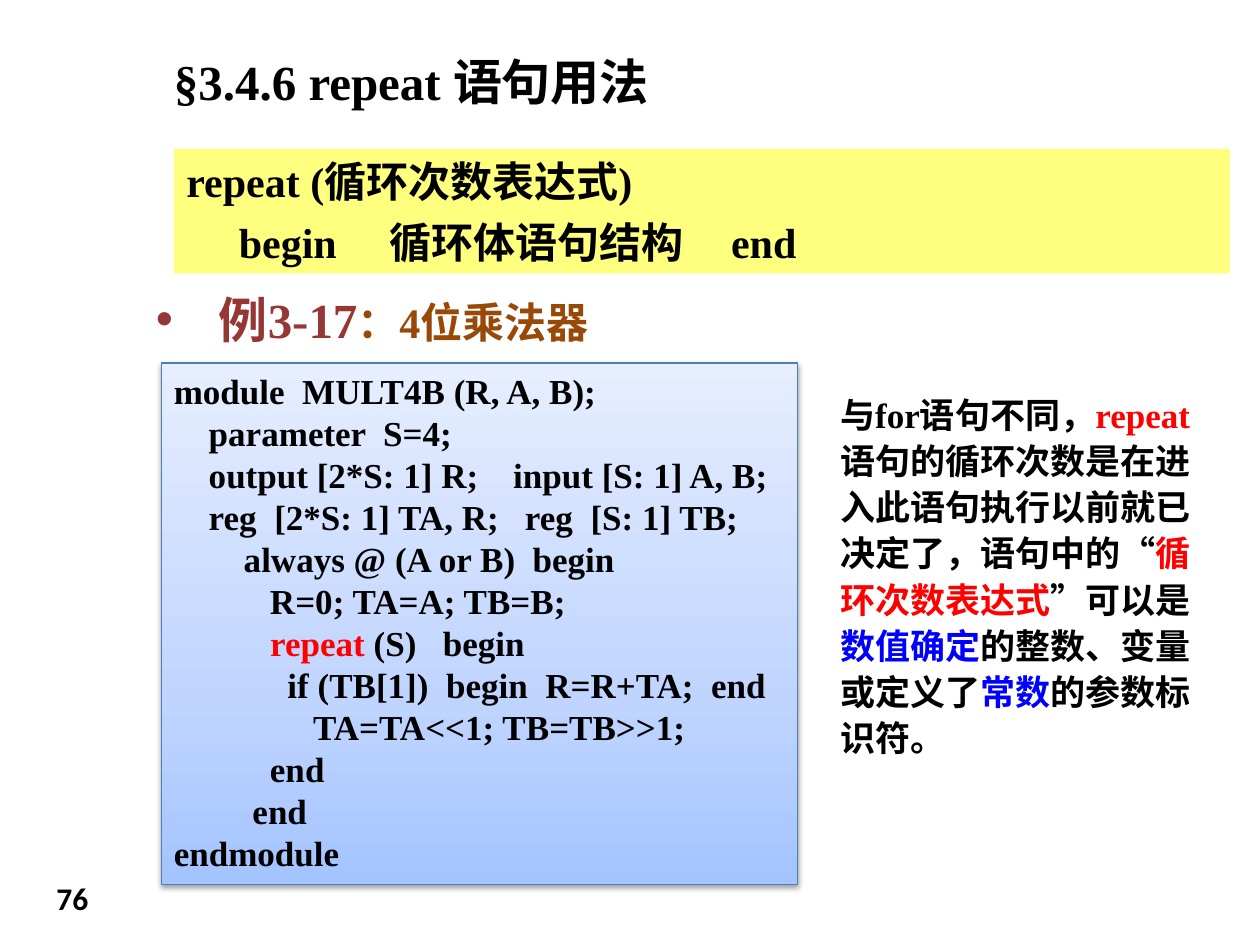
"""Build the slide on the Verilog repeat statement."""
from copy import deepcopy
from dataclasses import dataclass

from lxml import etree
from pptx import Presentation
from pptx.dml.color import RGBColor
from pptx.enum import shapes, text
from pptx.oxml import ns
from pptx.util import Pt

BLACK = RGBColor(0x00, 0x00, 0x00)
RED = RGBColor(0xFF, 0x00, 0x00)
BLUE = RGBColor(0x00, 0x00, 0xFF)
YELLOW = RGBColor(0xFF, 0xFF, 0x00)
MAROON = RGBColor(0x95, 0x37, 0x35)
BROWN = RGBColor(0x98, 0x48, 0x07)
CODE_BORDER = RGBColor(0x4B, 0x7E, 0xBC)
CODE_GRADIENT = (
    (0, RGBColor(0xA4, 0xC4, 0xFF)),
    (0.35, RGBColor(0xBF, 0xD4, 0xFF)),
    (1, RGBColor(0xE6, 0xEE, 0xFF)),
)
SERIF = "Times New Roman"

CODE = """module  MULT4B (R, A, B);
    parameter  S=4;
    output [2*S: 1] R;    input [S: 1] A, B;
    reg  [2*S: 1] TA, R;   reg  [S: 1] TB;
        always @ (A or B)  begin
           R=0; TA=A; TB=B;
           repeat (S)   begin
             if (TB[1])  begin  R=R+TA;  end
                TA=TA<<1; TB=TB>>1;
           end
         end
endmodule"""


@dataclass(frozen=True)
class Box:
    left: float
    top: float
    width: float
    height: float

    def lengths(self) -> tuple:
        return Pt(self.left), Pt(self.top), Pt(self.width), Pt(self.height)


@dataclass(frozen=True)
class Span:
    words: str
    size: float
    color: RGBColor = BLACK
    font: str = SERIF


def add_element(parent, tag: str, **attributes: str):
    return etree.SubElement(parent, ns.qn(tag), attributes)


def write(frame, lines: list[list[Span]], anchor=text.MSO_ANCHOR.TOP,
          space_after: float = 0, line_spacing: float = 1) -> None:
    frame.word_wrap = True
    frame.auto_size = text.MSO_AUTO_SIZE.NONE
    frame.vertical_anchor = anchor
    for index, spans in enumerate(lines):
        paragraph = frame.add_paragraph() if index else frame.paragraphs[0]
        paragraph.alignment = text.PP_ALIGN.LEFT
        paragraph.space_before = Pt(0)
        paragraph.space_after = Pt(space_after)
        paragraph.line_spacing = line_spacing
        for span in spans:
            run = paragraph.add_run()
            run.text = span.words
            run.font.name = span.font
            run.font.size = Pt(span.size)
            run.font.bold = True
            run.font.color.rgb = span.color


def add_text(slide, box: Box, lines: list[list[Span]], **options):
    shape = slide.shapes.add_textbox(*box.lengths())
    write(shape.text_frame, lines, **options)
    return shape


def add_panel(slide, box: Box):
    shape = slide.shapes.add_shape(shapes.MSO_SHAPE.RECTANGLE, *box.lengths())
    shape.shadow.inherit = False
    shape.line.fill.background()
    return shape


def add_syntax(slide) -> None:
    shape = add_panel(slide, Box(99.4, 85, 603.4, 71.3))
    shape.fill.solid()
    shape.fill.fore_color.rgb = YELLOW
    color = shape._element.spPr.find(".//" + ns.qn("a:srgbClr"))
    add_element(color, "a:alpha", val="50000")
    lines = ["repeat (循环次数表达式)", "     begin     循环体语句结构     end"]
    write(shape.text_frame, [[Span(line, 24)] for line in lines],
          anchor=text.MSO_ANCHOR.MIDDLE, space_after=6)


def add_code(slide) -> None:
    shape = add_panel(slide, Box(92.2, 207.4, 363.6, 298))
    properties = shape._element.spPr
    shape.fill.gradient()
    stops = properties.find(".//" + ns.qn("a:gsLst"))
    stops.append(deepcopy(stops[0]))
    for stop, (position, color) in zip(shape.fill.gradient_stops, CODE_GRADIENT):
        stop.position = position
        stop.color.rgb = color
    shape.fill.gradient_angle = 90
    shape.line.color.rgb = CODE_BORDER
    shape.line.width = Pt(0.75)
    shadow = add_element(properties.find(ns.qn("a:effectLst")), "a:outerShdw",
                         blurRad=str(Pt(3.1)), dist=str(Pt(1.6)),
                         dir="5400000", rotWithShape="0")
    color = add_element(shadow, "a:srgbClr", val=str(BLACK))
    add_element(color, "a:alpha", val="38000")
    lines = []
    for line in CODE.splitlines():
        before, keyword, after = line.partition("repeat")
        parts = ((before, BLACK), (keyword, RED), (after, BLACK))
        lines.append([Span(words, 20, color) for words, color in parts if words])
    write(shape.text_frame, lines)


def add_example(slide) -> None:
    shape = add_text(slide, Box(82, 162, 345.6, 67.7),
                     [[Span("例3-17", 28, MAROON), Span("：4位乘法器", 24, BROWN)]])
    properties = shape.text_frame.paragraphs[0]._p.get_or_add_pPr()
    properties.set("marL", str(Pt(36)))
    properties.set("indent", str(Pt(-36)))
    color = add_element(properties, "a:buClr")
    add_element(color, "a:srgbClr", val=str(MAROON))
    add_element(properties, "a:buFont", typeface="Arial")
    add_element(properties, "a:buChar", char="•")


def add_explanation(slide) -> None:
    parts = (
        ("与for语句不同，", BLACK),
        ("repeat", RED),
        ("语句的循环次数是在进入此语句执行以前就已决定了，语句中的“", BLACK),
        ("循环次数表达式", RED),
        ("”可以是", BLACK),
        ("数值确定", BLUE),
        ("的整数、变量或定义了", BLACK),
        ("常数", BLUE),
        ("的参数标识符。", BLACK),
    )
    add_text(slide, Box(473, 218.9, 216.7, 220.3),
             [[Span(words, 20, color) for words, color in parts]],
             space_after=6, line_spacing=1.1)


def main() -> None:
    presentation = Presentation()
    presentation.slide_width, presentation.slide_height = Pt(720), Pt(540)
    slide = presentation.slides.add_slide(presentation.slide_layouts[5])
    title = slide.shapes.title
    title.left, title.top, title.width, title.height = Box(92.2, 26, 596.2, 90.7).lengths()
    write(title.text_frame, [[Span("§3.4.6 repeat 语句用法", 28)]])
    add_syntax(slide)
    add_explanation(slide)
    add_example(slide)
    add_code(slide)
    add_text(slide, Box(25.2, 496.8, 45.4, 32.4), [[Span("76", 18, font="Calibri")]],
             anchor=text.MSO_ANCHOR.MIDDLE)
    presentation.save("out.pptx")


if __name__ == "__main__":
    main()
